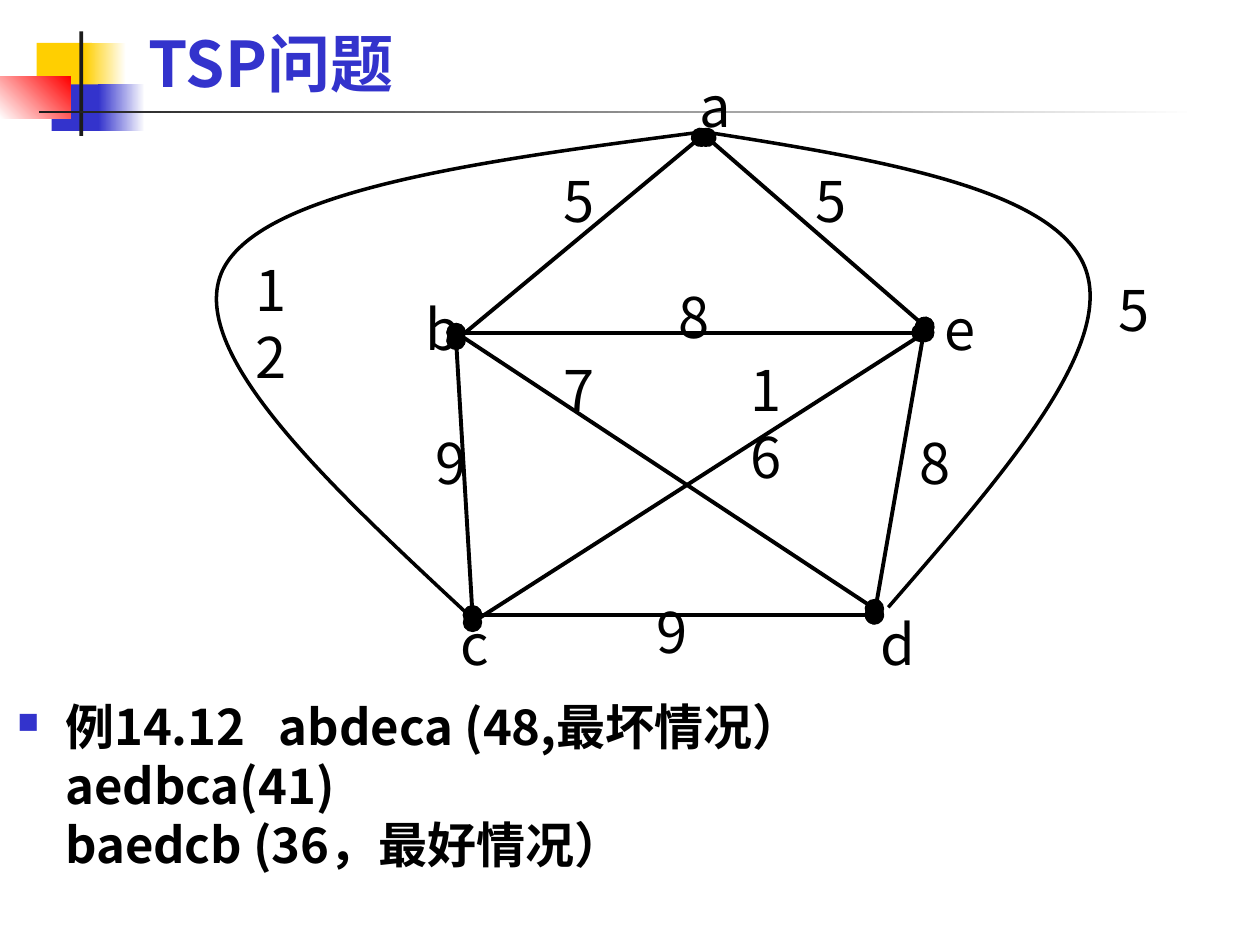
from lxml import etree
from pptx import Presentation
from pptx.dml.color import RGBColor
from pptx.enum import shapes, text
from pptx.oxml import ns
from pptx.util import Inches, Pt

FONT = "Noto Sans CJK SC"
BLUE, BLACK, WHITE, DARK = "3333CC", "000000", "FFFFFF", "1C1C1C"
YELLOW, RED = "FFCF01", "FF0000"
WIDTH, HEIGHT = 10, 7.5


def color(value):
    """Turn a hex string into a colour."""
    return RGBColor.from_string(value)


def add_xml(parent, tag, **attributes):
    """Append a drawing element with its attributes."""
    return etree.SubElement(parent, ns.qn(tag), attributes)


def add_block(page, box, first, last=None, angle=0):
    """Draw a plain rectangle, or one that blends between two colours."""
    block = page.shapes.add_shape(
        shapes.MSO_SHAPE.RECTANGLE, *[Inches(side) for side in box])
    block.shadow.inherit = False
    block.line.fill.background()
    if last is None:
        block.fill.solid()
        block.fill.fore_color.rgb = color(first)
        return
    block.fill.gradient()
    block.fill.gradient_angle = angle
    for stop, value in zip(block.fill.gradient_stops, (first, last)):
        stop.color.rgb = color(value)


def add_span(para, words, size, value, bold=False):
    """Add one run of text."""
    span = para.add_run()
    span.text = words
    span.font.size, span.font.bold = Pt(size), bold
    span.font.name = FONT
    span.font.color.rgb = color(value)
    add_xml(span._r.get_or_add_rPr(), "a:ea", typeface=FONT)


def add_text_box(page, box, anchor=text.MSO_ANCHOR.TOP):
    """Add a wrapping text box and return its first paragraph."""
    frame = page.shapes.add_textbox(*[Inches(side) for side in box]).text_frame
    frame.word_wrap = True
    frame.vertical_anchor = anchor
    return frame.paragraphs[0]


def add_ornament(page, box):
    """Draw the coloured blocks and rules beside the title."""
    left, top, width, height = box
    blocks = [
        ((0.29, 0.09, 0.44, 0.38), YELLOW),
        ((0.67, 0.09, 0.33, 0.38), YELLOW, WHITE),
        ((0.41, 0.42, 0.42, 0.37), BLUE),
        ((0.78, 0.42, 0.37, 0.37), BLUE, WHITE),
        ((0, 0.36, 0.56, 0.33), WHITE, RED, 45),
        ((0.63, 0, 0.03, height), DARK),
        ((0.31, 0.63, width - 0.31, 0.02), DARK, WHITE),
    ]
    for (x, y, wide, high), *paint in blocks:
        add_block(page, (left + x, top + y, wide, high), *paint)


def add_title(page, box):
    """Write the slide title."""
    para = add_text_box(page, box, text.MSO_ANCHOR.BOTTOM)
    add_span(para, "TSP问题", 36, BLUE, True)


def add_example(page, box):
    """Write the bulleted example with its three tours."""
    para = add_text_box(page, box)
    props = para._p.get_or_add_pPr()
    props.set("marL", str(Inches(0.38)))
    props.set("indent", str(-Inches(0.38)))
    before = add_xml(props, "a:spcBef")
    add_xml(before, "a:spcPct", val="20000")
    add_xml(add_xml(props, "a:buClr"), "a:srgbClr", val=BLUE)
    add_xml(props, "a:buSzPct", val="60000")
    add_xml(props, "a:buFont", typeface="Wingdings", charset="2")
    add_xml(props, "a:buChar", char="n")
    tours = ["例14.12   abdeca (48,最坏情况） ", "aedbca(41)", "baedcb (36，最好情况）"]
    for index, tour in enumerate(tours):
        if index:
            para.add_line_break()
        add_span(para, tour, 28, BLACK, True)


def add_edge(page, start, end):
    """Draw a straight edge with a dot at each end."""
    edge = page.shapes.add_connector(
        shapes.MSO_CONNECTOR.STRAIGHT, *[Inches(n) for n in start + end])
    edge.line.color.rgb = color(BLACK)
    edge.line.width = Pt(2.25)
    line = edge.line._get_or_add_ln()
    for tag in ("a:headEnd", "a:tailEnd"):
        add_xml(line, tag, type="oval", w="lg", len="lg")
    add_xml(edge._element.spPr, "a:effectLst")


def add_curve(page, points):
    """Draw an outer edge through joined cubic curves."""
    spots = [(Inches(x), Inches(y)) for x, y in points]
    builder = page.shapes.build_freeform(*spots[0])
    builder.add_line_segments(spots[1:], close=False)
    curve = builder.convert_to_shape()
    segments = list(curve._element.iter(ns.qn("a:lnTo")))
    outline = segments[0].getparent()
    for start in range(0, len(segments), 3):
        cubic = add_xml(outline, "a:cubicBezTo")
        for segment in segments[start:start + 3]:
            cubic.append(segment[0])
            outline.remove(segment)
    curve.shadow.inherit = False
    curve.fill.background()
    curve.line.color.rgb = color(BLACK)
    curve.line.width = Pt(2)


def add_graph(page, box):
    """Draw the weighted graph on the five cities."""
    left, top, _, _ = box

    def place(x, y):
        return left + x, top + y

    edges = [
        ((4.15, 0.57), (5.88, 2.07)), ((2.16, 2.18), (4.1, 0.57)),
        ((2.16, 2.18), (2.29, 4.36)), ((5.88, 2.07), (5.48, 4.36)),
        ((2.29, 4.36), (5.48, 4.36)), ((2.16, 2.12), (5.85, 2.12)),
        ((2.29, 4.42), (5.88, 2.12)), ((2.16, 2.12), (5.48, 4.31)),
    ]
    for start, end in edges:
        add_edge(page, place(*start), place(*end))

    labels = [
        ("a", 3.99, 0), ("b", 1.82, 1.77), ("c", 2.1, 4.27),
        ("d", 5.43, 4.27), ("e", 5.94, 1.77), ("9", 1.9, 2.83),
        ("5", 7.32, 1.62), ("16", 4.4, 2.25), ("9", 3.65, 4.17),
        ("5", 2.91, 0.75), ("5", 4.91, 0.75), ("8", 3.83, 1.67),
        ("12", 0.47, 1.46), ("7", 2.91, 2.25), ("8", 5.74, 2.83),
    ]
    for words, x, y in labels:
        wide = 0.42 if len(words) == 1 else 0.65
        para = add_text_box(page, (*place(x, y), wide, 0.63))
        add_span(para, words, 32, BLACK)

    curves = [
        [(4.17, 0.52), (2.4, 0.75), (0.63, 0.98), (0.31, 1.62),
         (0, 2.26), (1.14, 3.32), (2.28, 4.38)],
        [(4.09, 0.52), (5.49, 0.74), (6.9, 0.97), (7.15, 1.6),
         (7.4, 2.23), (6.49, 3.26), (5.59, 4.3)],
    ]
    for points in curves:
        add_curve(page, [place(*point) for point in points])


def main():
    """Build the slide and save it."""
    deck = Presentation()
    deck.slide_width, deck.slide_height = Inches(WIDTH), Inches(HEIGHT)
    page = deck.slides.add_slide(deck.slide_layouts[6])
    add_ornament(page, (0, 0.25, 0.95 * WIDTH, 0.83))
    add_title(page, (1.08, 0.17, 8.42, 0.67))
    add_example(page, (0.04, 5.48, 9.67, 1.51))
    add_graph(page, (1.46, 0.52, 7.74, 4.9))
    deck.save("out.pptx")


main()
